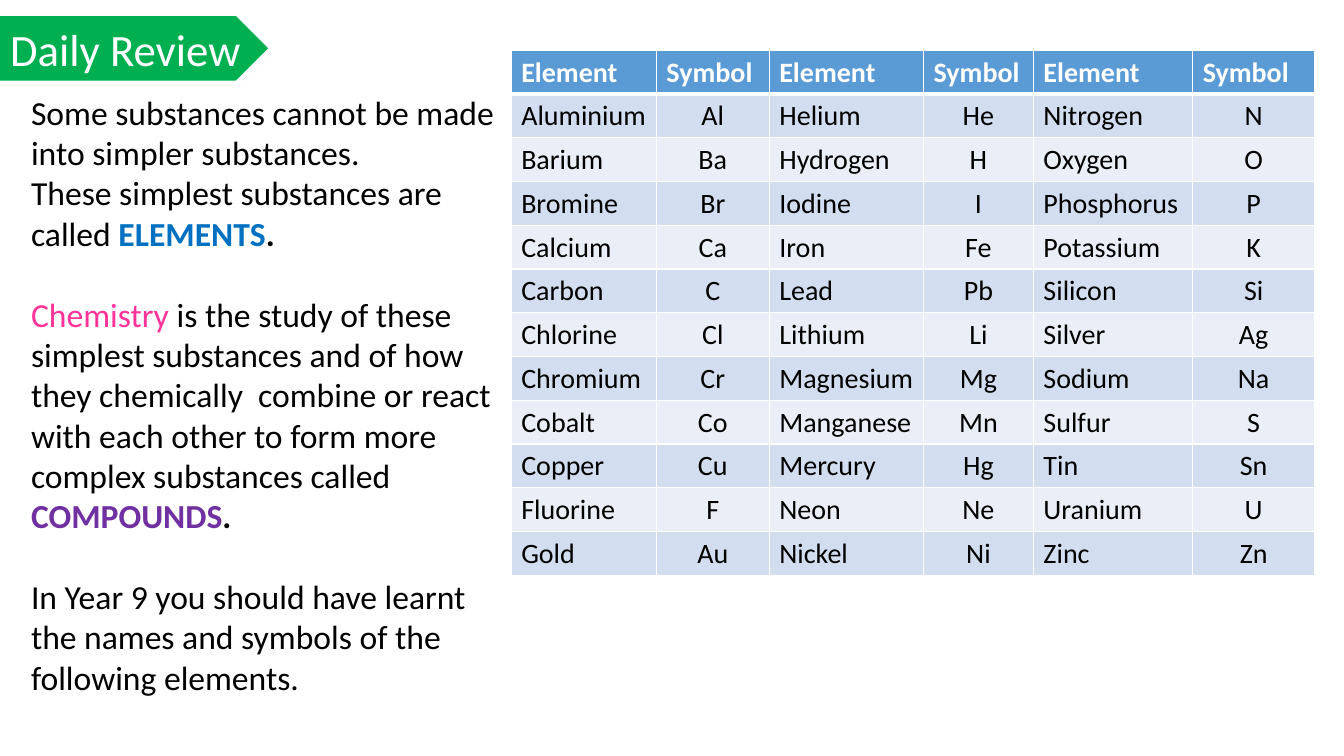
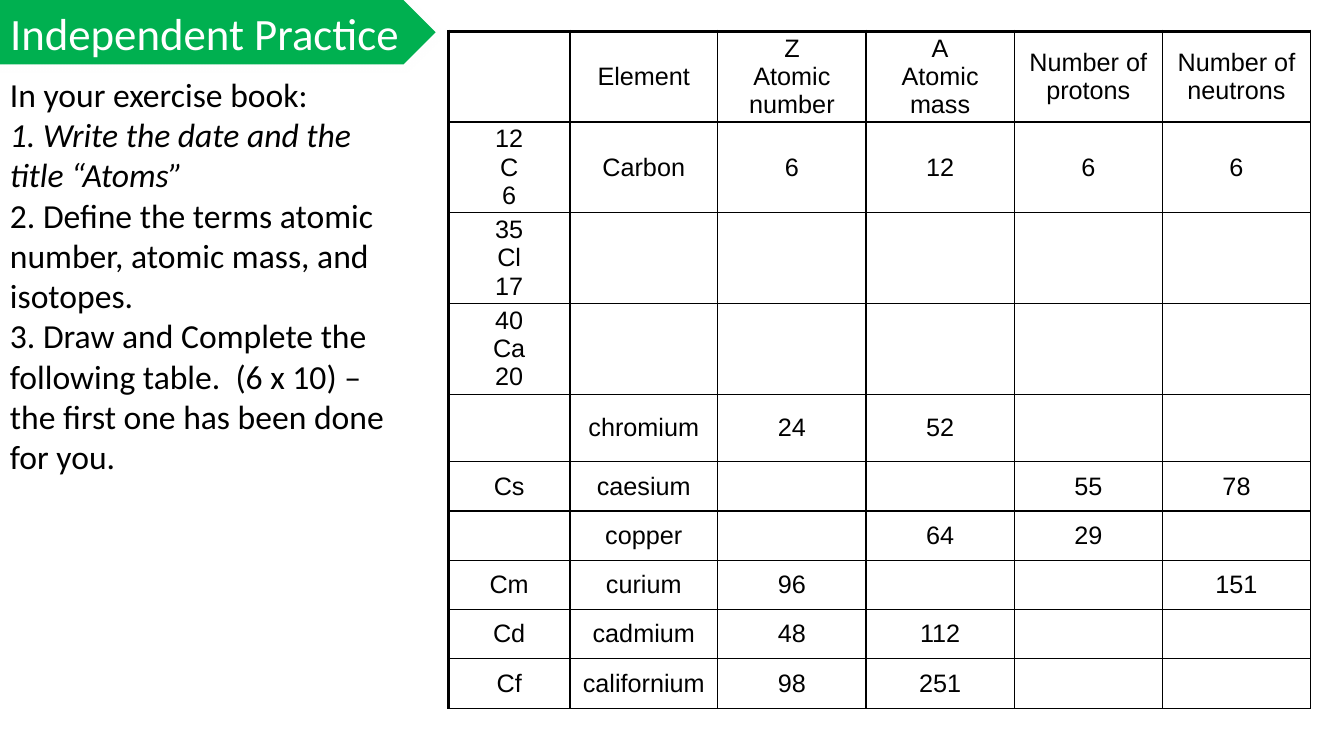
from collections import namedtuple

from lxml import etree
from pptx import Presentation
from pptx.dml.color import RGBColor
from pptx.enum.shapes import MSO_SHAPE
from pptx.enum.text import MSO_ANCHOR, MSO_AUTO_SIZE, PP_ALIGN
from pptx.oxml.ns import qn
from pptx.util import Inches, Pt

PENTAGON = MSO_SHAPE.PENTAGON
TOP, MIDDLE = MSO_ANCHOR.TOP, MSO_ANCHOR.MIDDLE
LEFT, CENTER = PP_ALIGN.LEFT, PP_ALIGN.CENTER
NO_AUTOFIT = MSO_AUTO_SIZE.NONE
TITLE_ONLY = 5

# The grid has one-inch cells: 13.33 columns by 7.5 rows.
CELL = Inches(1)
COLUMNS, ROWS = 13.33, 7.5
BANNER_HEIGHT = 0.64

COLORS = {
    "banner": "00B050",
    "white": "FFFFFF",
    "black": "000000",
    "header": "5B9BD5",
    "odd_row": "D2DEEF",
    "even_row": "EAEFF7",
    "elements": "0070C0",
    "chemistry": "FF3399",
    "compounds": "7030A0",
}

TITLE_FONT = {"name": "Calibri", "size": Pt(32), "bold": False, "color": "white"}
BODY_FONT = {"name": "Calibri", "size": Pt(24), "color": "black"}
ELEMENT_FONT = {"name": "Calibri", "size": Pt(20), "bold": False, "color": "black"}
ELEMENT_HEADER_FONT = {**ELEMENT_FONT, "bold": True, "color": "white"}
ATOM_FONT = {"name": "Arial", "size": Pt(18), "bold": False, "color": "black"}

Box = namedtuple("Box", "left top width height")

BLANK_LINE = 29
REVIEW_TEXT = [
    (0, [("Some substances cannot be made into simpler substances.", {})]),
    (0, [("These simplest substances are called ", {}),
         ("ELEMENTS", {"color": "elements", "bold": True}),
         (".", {"bold": True})]),
    (BLANK_LINE, [("Chemistry", {"color": "chemistry"}),
                  (" is the study of these simplest substances and of how they "
                   "chemically  combine or react with each other to form more "
                   "complex substances called ", {}),
                  ("COMPOUNDS", {"color": "compounds", "bold": True}),
                  (".", {"bold": True})]),
    (BLANK_LINE, [("In Year 9 you should have learnt the names and symbols of "
                   "the following elements.", {})]),
]
PRACTICE_TEXT = [
    (0, [("In your exercise book:", {})]),
    (0, [("1. Write the date and the title “Atoms”", {"italic": True})]),
    (0, [("2. Define the terms atomic number, atomic mass, and isotopes.", {})]),
    (0, [("3. Draw and Complete the following table.  (6 x 10) – the first one "
          "has been done for you.", {})]),
]

ELEMENT_ROWS = [
    ["Element", "Symbol"] * 3,
    ["Aluminium", "Al", "Helium", "He", "Nitrogen", "N"],
    ["Barium", "Ba", "Hydrogen", "H", "Oxygen", "O"],
    ["Bromine", "Br", "Iodine", "I", "Phosphorus", "P"],
    ["Calcium", "Ca", "Iron", "Fe", "Potassium", "K"],
    ["Carbon", "C", "Lead", "Pb", "Silicon", "Si"],
    ["Chlorine", "Cl", "Lithium", "Li", "Silver", "Ag"],
    ["Chromium", "Cr", "Magnesium", "Mg", "Sodium", "Na"],
    ["Cobalt", "Co", "Manganese", "Mn", "Sulfur", "S"],
    ["Copper", "Cu", "Mercury", "Hg", "Tin", "Sn"],
    ["Fluorine", "F", "Neon", "Ne", "Uranium", "U"],
    ["Gold", "Au", "Nickel", "Ni", "Zinc", "Zn"],
]
ELEMENT_WIDTHS = [1.44, 1.12, 1.53, 1.09, 1.58, 1.21]

ATOM_ROWS = [
    ["", "Element", "Z\nAtomic number", "A\nAtomic mass",
     "Number of protons", "Number of neutrons"],
    ["12\nC\n6", "Carbon", "6", "12", "6", "6"],
    ["35\nCl\n17", "", "", "", "", ""],
    ["40\nCa\n20", "", "", "", "", ""],
    ["", "chromium", "24", "52", "", ""],
    ["Cs", "caesium", "", "", "55", "78"],
    ["", "copper", "", "64", "29", ""],
    ["Cm", "curium", "96", "", "", "151"],
    ["Cd", "cadmium", "48", "112", "", ""],
    ["Cf", "californium", "98", "251", "", ""],
]
ATOM_WIDTHS = [1.2] + [1.47] * 5
ATOM_HEIGHTS = [0.9] * 4 + [0.67] + [0.49] * 5


def on_grid(box):
    return [round(length * CELL) for length in box]


def format_font(font, values):
    for name, value in values.items():
        if name == "color":
            font.color.rgb = RGBColor.from_string(COLORS[value])
        else:
            setattr(font, name, value)


def add_color(parent, color):
    fill = etree.SubElement(parent, qn("a:solidFill"))
    return etree.SubElement(fill, qn("a:srgbClr"), val=COLORS[color])


def add_banner(slide, box, text):
    """Draw the green arrow and lay the slide title over it."""
    banner = slide.shapes.add_shape(PENTAGON, *on_grid(box))
    banner.fill.solid()
    banner.fill.fore_color.rgb = RGBColor.from_string(COLORS["banner"])
    banner.line.fill.background()
    banner.shadow.inherit = False
    shadow = etree.SubElement(
        banner.element.spPr.find(qn("a:effectLst")), qn("a:outerShdw"),
        blurRad=str(Pt(4.5)), dist=str(Pt(1.5)), dir="5400000", rotWithShape="0")
    etree.SubElement(add_color(shadow, "black"), qn("a:alpha"), val="63000")

    title = slide.shapes.title
    title.left, title.top, title.width, title.height = on_grid(box)
    slide.shapes._spTree.append(title.element)
    frame = title.text_frame
    frame.text = text
    frame.auto_size = NO_AUTOFIT
    frame.vertical_anchor = MIDDLE
    frame.paragraphs[0].alignment = LEFT
    format_font(frame.paragraphs[0].runs[0].font, TITLE_FONT)


def add_body(slide, box, paragraphs):
    frame = slide.shapes.add_textbox(*on_grid(box)).text_frame
    frame.word_wrap = True
    frame.margin_right = 0
    for index, (space_before, runs) in enumerate(paragraphs):
        paragraph = frame.add_paragraph() if index else frame.paragraphs[0]
        paragraph.space_before = Pt(space_before)
        for text, changes in runs:
            run = paragraph.add_run()
            run.text = text
            format_font(run.font, {**BODY_FONT, **changes})


def add_plain_table(slide, box, rows, widths, heights):
    """Add a table without banding, its columns and rows scaled to the box."""
    table = slide.shapes.add_table(len(rows), len(widths), *on_grid(box)).table
    table.first_row = table.horz_banding = False
    for column, width in zip(table.columns, widths):
        column.width = round(box.width * CELL * width / sum(widths))
    for row, height in zip(table.rows, heights):
        row.height = round(box.height * CELL * height / sum(heights))
    return table


def set_borders(cell, color, widths):
    """Draw the left, right, top and bottom borders, in that order."""
    properties = cell._tc.get_or_add_tcPr()
    for side, width in zip("LRTB", widths):
        line = etree.SubElement(properties, qn(f"a:ln{side}"), w=str(Pt(width)))
        add_color(line, color)


def write_cell(cell, text, font, alignment, anchor):
    cell.text = text
    cell.vertical_anchor = anchor
    for paragraph in cell.text_frame.paragraphs:
        paragraph.alignment = alignment
        format_font(paragraph.font, font)
        for run in paragraph.runs:
            format_font(run.font, font)


def add_element_table(slide, box):
    table = add_plain_table(slide, box, ELEMENT_ROWS, ELEMENT_WIDTHS,
                            [1] * len(ELEMENT_ROWS))
    for row, texts in enumerate(ELEMENT_ROWS):
        is_header = row == 0
        fill = "header" if is_header else "odd_row" if row % 2 else "even_row"
        font = ELEMENT_HEADER_FONT if is_header else ELEMENT_FONT
        for column, text in enumerate(texts):
            cell = table.cell(row, column)
            is_symbol = column % 2 == 1 and not is_header
            write_cell(cell, text, font, CENTER if is_symbol else LEFT, TOP)
            set_borders(cell, "white",
                        (1, 1, 3 if row == 1 else 1, 3 if is_header else 1))
            cell.fill.solid()
            cell.fill.fore_color.rgb = RGBColor.from_string(COLORS[fill])


def add_atom_table(slide, box):
    table = add_plain_table(slide, box, ATOM_ROWS, ATOM_WIDTHS, ATOM_HEIGHTS)
    edge_widths = {0: 2.5, 1: 1.5}
    for row, texts in enumerate(ATOM_ROWS):
        for column, text in enumerate(texts):
            cell = table.cell(row, column)
            cell.margin_left = cell.margin_right = Inches(0.07)
            cell.margin_top = cell.margin_bottom = 0
            write_cell(cell, text, ATOM_FONT, CENTER, MIDDLE)
            set_borders(cell, "black", [edge_widths.get(edge, 1) for edge in
                                        (column, column + 1, row, row + 1)])
            cell.fill.background()


def add_review_slide(presentation):
    slide = presentation.slides.add_slide(presentation.slide_layouts[TITLE_ONLY])
    add_banner(slide, Box(0, 0.16, 2.66, BANNER_HEIGHT), "Daily Review")
    add_body(slide, Box(0.21, 0.86, 4.8, 6.2), REVIEW_TEXT)
    add_element_table(slide, Box(5.07, 0.5, 7.97, 5.2))


def add_practice_slide(presentation):
    slide = presentation.slides.add_slide(presentation.slide_layouts[TITLE_ONLY])
    add_banner(slide, Box(0, 0, 4.32, BANNER_HEIGHT), "Independent Practice")
    add_body(slide, Box(0, 0.68, 3.92, 4.14), PRACTICE_TEXT)
    add_atom_table(slide, Box(4.45, 0.31, 8.55, 6.71))


def main():
    presentation = Presentation()
    presentation.slide_width = round(COLUMNS * CELL)
    presentation.slide_height = round(ROWS * CELL)
    add_review_slide(presentation)
    add_practice_slide(presentation)
    presentation.save("out.pptx")


if __name__ == "__main__":
    main()
